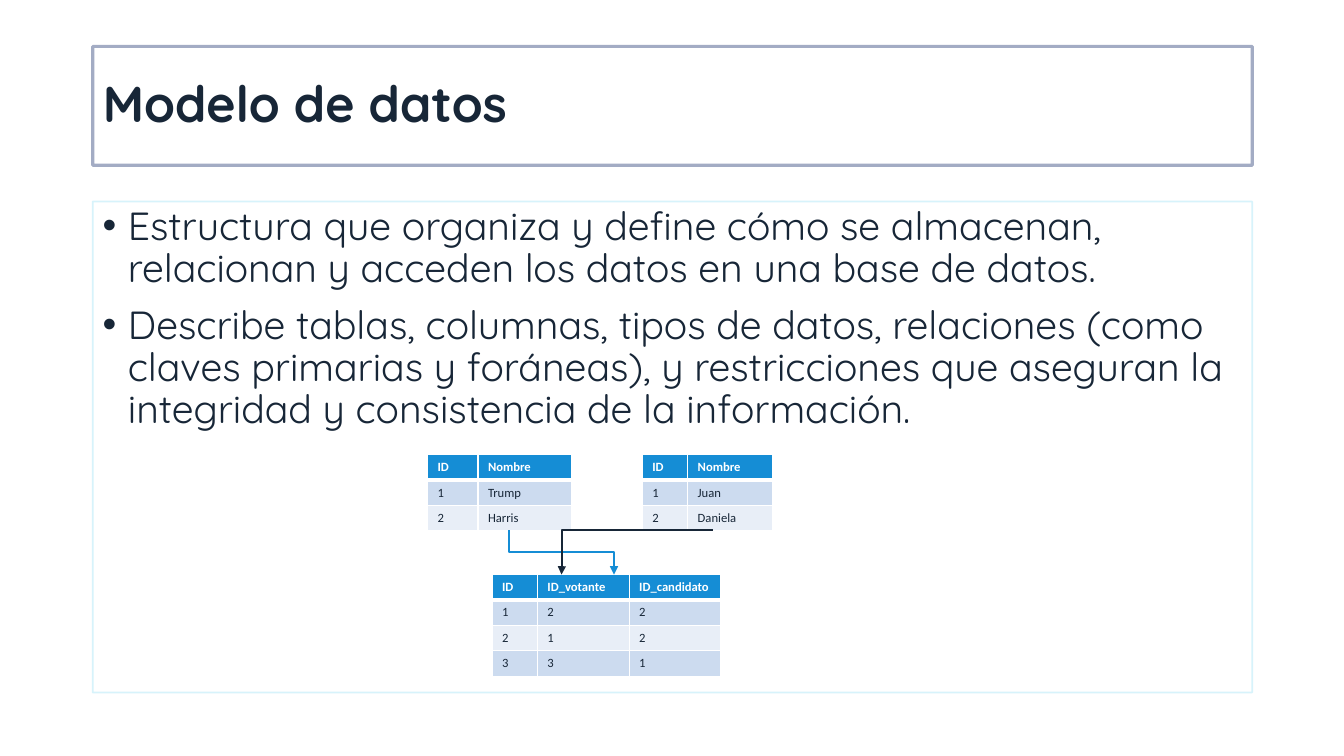
from lxml.etree import SubElement
from pptx import Presentation
from pptx.dml.color import RGBColor
from pptx.enum.shapes import MSO_CONNECTOR
from pptx.enum.text import MSO_ANCHOR, MSO_AUTO_SIZE, PP_ALIGN
from pptx.oxml.ns import qn
from pptx.util import Pt

SCALE = 9144
HUES = {"ink": "172637", "white": "FFFFFF", "blue": "158DD5", "navy": "061E60",
        "cyan": "12B9E8", "odd": "CCDBEF", "even": "E8EEF7"}
POINTS = [
    "Estructura que organiza y define cómo se almacenan, relacionan y acceden "
    "los datos en una base de datos.",
    "Describe tablas, columnas, tipos de datos, relaciones (como claves primarias "
    "y foráneas), y restricciones que aseguran la integridad y consistencia de la "
    "información.",
]
VOTES = [["ID", "ID_votante", "ID_candidato"], ["1", "2", "2"], ["2", "1", "2"], ["3", "3", "1"]]
VOTERS = [["ID", "Nombre"], ["1", "Juan"], ["2", "Daniela"]]
RUNNERS = [["ID", "Nombre"], ["1", "Trump"], ["2", "Harris"]]


def px(*sizes):
    """Turn lengths in px into EMU."""
    return [round(size * SCALE) for size in sizes]


def tint(color, hue):
    """Set a colour from the palette."""
    color.rgb = RGBColor.from_string(HUES[hue])


def fade(shape, tag, share):
    """Give the colour under a tag its opacity in percent."""
    color = next(shape.element.spPr.find(qn(tag)).iter(qn("a:srgbClr")))
    SubElement(color, qn("a:alpha"), val=str(share * 1000))


def style(text, size, face, hue, bold=False):
    """Format the font of every run in a paragraph."""
    for run in text.runs:
        font = run.font
        font.size, font.name, font.bold = Pt(size), face, bold
        tint(font.color, hue)


def panel(shape, box, hue, width, fill, edge):
    """Place a text panel with a pale fill and a faint border."""
    shape.left, shape.top, shape.width, shape.height = px(*box)
    shape.fill.solid()
    tint(shape.fill.fore_color, "white")
    tint(shape.line.color, hue)
    shape.line.width = Pt(width)
    fade(shape, "a:solidFill", fill)
    fade(shape, "a:ln", edge)
    shape.text_frame.word_wrap = True
    shape.text_frame.auto_size = MSO_AUTO_SIZE.NONE


def title(slide, box):
    """Fill the title placeholder."""
    shape = slide.shapes.title
    panel(shape, box, "navy", 2.25, 68, 36)
    frame = shape.text_frame
    frame.text = "Modelo de datos"
    frame.vertical_anchor = MSO_ANCHOR.MIDDLE
    text = frame.paragraphs[0]
    text.alignment, text.line_spacing = PP_ALIGN.LEFT, 0.9
    style(text, 36, "Quicksand", "ink", True)


def body(slide, box):
    """Write the bulleted points."""
    shape = slide.shapes.add_textbox(*px(*box))
    panel(shape, box, "cyan", 1.25, 83, 17)
    frame = shape.text_frame
    frame.text = "\n".join(POINTS)
    for spot, text in enumerate(frame.paragraphs):
        props = text._p.get_or_add_pPr()
        props.set("marL", "228600")
        props.set("indent", "-228600")
        SubElement(props, qn("a:buFont"), typeface="Arial")
        SubElement(props, qn("a:buChar"), char="•")
        text.line_spacing = 0.9
        text.space_before = Pt(10 if spot else 0)
        style(text, 28, "Quicksand", "ink")


def border(cell, row):
    """Draw white cell borders, thick below the header."""
    props = cell._tc.get_or_add_tcPr()
    widths = {"L": 1, "R": 1, "T": 3 if row == 1 else 1, "B": 1 if row else 3}
    for side, width in widths.items():
        line = SubElement(props, qn("a:ln" + side), w=str(Pt(width)))
        fill = SubElement(line, qn("a:solidFill"))
        SubElement(fill, qn("a:srgbClr"), val=HUES["white"])


def grid(slide, left, top, widths, rows, high=25):
    """Draw a data table with a header row and banded rows."""
    size = px(left, top, sum(widths), high * len(rows))
    table = slide.shapes.add_table(len(rows), len(widths), *size).table
    for column, width in zip(table.columns, px(*widths)):
        column.width = width
    for row, words in enumerate(rows):
        table.rows[row].height = px(high)[0]
        hue = ("odd" if row % 2 else "even") if row else "blue"
        for col, word in enumerate(words):
            cell = table.cell(row, col)
            border(cell, row)
            cell.fill.solid()
            tint(cell.fill.fore_color, hue)
            cell.text_frame.text = word
            style(cell.text_frame.paragraphs[0], 9, "Calibri",
                  "ink" if row else "white", not row)


def link(slide, start, end, hue, width, bend, upright=False):
    """Draw an elbow arrow, leaving downwards if upright."""
    mid = [(a + b) / 2 for a, b in zip(start, end)]
    dx, dy = start[0] - mid[0], start[1] - mid[1]
    if upright:
        dx, dy = -dy, dx
    ends = px(mid[0] + dx, mid[1] + dy, mid[0] - dx, mid[1] - dy)
    arrow = slide.shapes.add_connector(MSO_CONNECTOR.ELBOW, *ends)
    props = arrow._element.spPr
    if upright:
        props.find(qn("a:xfrm")).set("rot", str(270 * 60000))
    guides = props.find(qn("a:prstGeom")).find(qn("a:avLst"))
    SubElement(guides, qn("a:gd"), name="adj1", fmla=f"val {bend}")
    tint(arrow.line.color, hue)
    arrow.line.width = Pt(width)
    SubElement(props.find(qn("a:ln")), qn("a:tailEnd"), type="triangle")
    SubElement(props, qn("a:effectLst"))


def model(slide, left, top):
    """Lay out the three linked tables."""
    low, foot = top + 119, top + 75
    grid(slide, left + 64, low, [45, 91, 91], VOTES)
    grid(slide, left + 213, top, [45, 84], VOTERS)
    grid(slide, left, top, [50, 93], RUNNERS)
    link(slide, (left + 81, foot), (left + 185, low), "blue", 1.5, 50000, True)
    link(slide, (left + 283, foot), (left + 133, low), "ink", 1, 99800)


def main():
    """Build and save the slide."""
    deck = Presentation()
    deck.slide_width, deck.slide_height = px(1333, 750)
    slide = deck.slides.add_slide(deck.slide_layouts[5])
    title(slide, (92, 46, 1150, 118))
    body(slide, (92, 200, 1150, 487))
    model(slide, 424, 451)
    deck.save("out.pptx")


if __name__ == "__main__":
    main()
